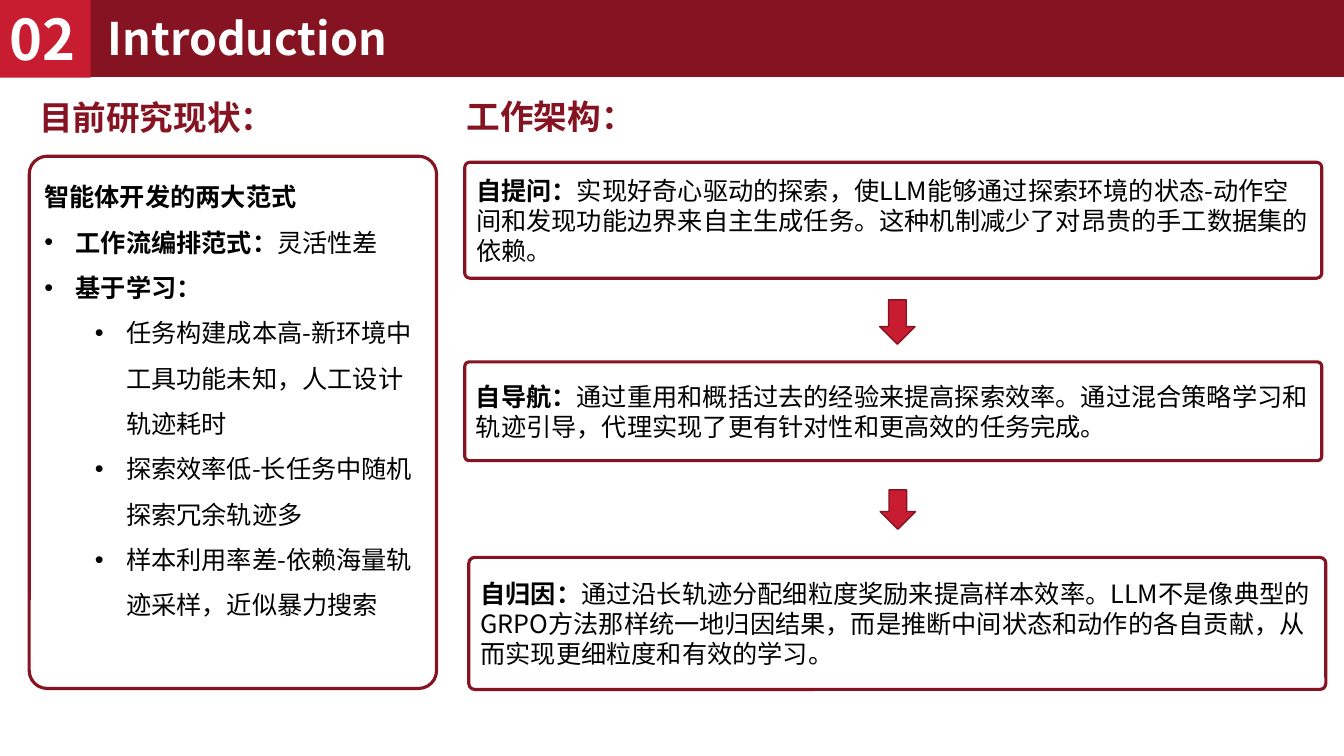
from dataclasses import dataclass

from lxml import etree
from pptx import Presentation
from pptx.dml.color import RGBColor
from pptx.enum.shapes import MSO_SHAPE
from pptx.enum.text import MSO_ANCHOR, PP_ALIGN
from pptx.oxml.ns import qn
from pptx.util import Emu, Pt

RECT, ROUND, ARROW = MSO_SHAPE.RECTANGLE, MSO_SHAPE.ROUNDED_RECTANGLE, MSO_SHAPE.RIGHT_ARROW
TOP, MIDDLE = MSO_ANCHOR.TOP, MSO_ANCHOR.MIDDLE
LEFT = PP_ALIGN.LEFT

SCALE = 9144  # EMU per px, 100 px to the inch
FONT = "Noto Sans CJK SC"
DARK, RED, WHITE, BLACK = "851321", "C81D31", "FFFFFF", "000000"


@dataclass
class Box:
    left: int
    top: int
    width: int
    height: int


@dataclass
class Line:
    lead: str = ""  # bold part
    body: str = ""  # plain part
    level: int = 0
    indent: int = 0  # bullet text offset, 0 for no bullet


@dataclass
class Step:
    box: Box
    line: Line


def px(count: int) -> Emu:
    return Emu(count * SCALE)


def color(code: str) -> RGBColor:
    return RGBColor.from_string(code)


def place(box: Box) -> list[Emu]:
    return [px(box.left), px(box.top), px(box.width), px(box.height)]


def add_shape(slide, kind, box: Box, fill: str = "", line: str = "", weight: float = 1):
    shape = slide.shapes.add_shape(kind, *place(box))
    shape.shadow.inherit = False
    if fill:
        shape.fill.solid()
        shape.fill.fore_color.rgb = color(fill)
    else:
        shape.fill.background()
    if line:
        shape.line.color.rgb = color(line)
        shape.line.width = Pt(weight)
    else:
        shape.line.fill.background()
    return shape


def style(run, size: int, code: str, bold: bool) -> None:
    font = run.font
    font.size, font.bold, font.name = Pt(size), bold, FONT
    font.color.rgb = color(code)
    latin = run._r.rPr.find(qn("a:latin"))
    east = etree.Element(qn("a:ea"), typeface=FONT)
    latin.addnext(east)


def add_bullet(para, indent: int) -> None:
    props = para._p.get_or_add_pPr()
    props.set("marL", str(px(indent)))
    props.set("indent", str(px(-31)))
    etree.SubElement(props, qn("a:buFont"), typeface="Arial")
    etree.SubElement(props, qn("a:buChar"), char="•")


def write(shape, lines: list[Line], size: int, code: str,
          anchor=TOP, space: float = 0) -> None:
    frame = shape.text_frame
    frame.word_wrap = True
    frame.vertical_anchor = anchor
    frame.text = "\n".join(line.lead for line in lines)
    for para, line in zip(frame.paragraphs, lines):
        para.alignment = LEFT
        para.level = line.level
        if space:
            para.line_spacing = space
        if line.indent:
            add_bullet(para, line.indent)
        for run in para.runs:
            style(run, size, code, True)
        if line.body:
            run = para.add_run()
            run.text = line.body
            style(run, size, code, False)


def add_title(slide, box: Box, text: str, size: int, code: str) -> None:
    write(slide.shapes.add_textbox(*place(box)), [Line(text)], size, code)


def add_panel(slide, box: Box, lines: list[Line], anchor, space: float = 0) -> None:
    panel = add_shape(slide, ROUND, box, line=DARK, weight=2.25)
    panel.adjustments[0] = 0.044
    write(panel, lines, 18, BLACK, anchor, space)


STATUS = [
    Line("智能体开发的两大范式"),
    Line("工作流编排范式：", "灵活性差", indent=31),
    Line("基于学习：", indent=31),
    Line("", "任务构建成本高-新环境中工具功能未知，人工设计轨迹耗时", 1, 81),
    Line("", "探索效率低-长任务中随机探索冗余轨迹多", 1, 81),
    Line("", "样本利用率差-依赖海量轨迹采样，近似暴力搜索", 1, 81),
]

STEPS = [
    Step(Box(461, 161, 850, 115), Line(
        "自提问：",
        "实现好奇心驱动的探索，使LLM能够通过探索环境的状态-动作空间和发现功能边界来"
        "自主生成任务。这种机制减少了对昂贵的手工数据集的依赖。")),
    Step(Box(461, 359, 850, 98), Line(
        "自导航：",
        "通过重用和概括过去的经验来提高探索效率。通过混合策略学习和轨迹引导，"
        "代理实现了更有针对性和更高效的任务完成。")),
    Step(Box(465, 553, 850, 131), Line(
        "自归因：",
        "通过沿长轨迹分配细粒度奖励来提高样本效率。LLM不是像典型的GRPO方法那样统一地"
        "归因结果，而是推断中间状态和动作的各自贡献，从而实现更细粒度和有效的学习。")),
]

ARROWS = [Box(868, 302, 44, 35), Box(871, 488, 39, 35)]


def main() -> None:
    deck = Presentation()
    deck.slide_width, deck.slide_height = px(1333), px(750)
    slide = deck.slides.add_slide(deck.slide_layouts[6])

    # Research status
    add_panel(slide, Box(29, 155, 404, 528), STATUS, TOP, 1.5)
    add_title(slide, Box(29, 91, 384, 50), "目前研究现状：", 24, DARK)

    # Header
    add_shape(slide, RECT, Box(0, 0, 1333, 76), DARK, DARK)
    add_title(slide, Box(97, 6, 927, 64), "Introduction", 32, WHITE)
    badge = add_shape(slide, RECT, Box(0, 0, 90, 77), RED)
    write(badge, [Line("02")], 40, WHITE)

    # Work framework
    add_title(slide, Box(453, 90, 836, 50), "工作架构：", 24, DARK)
    for step in STEPS:
        add_panel(slide, step.box, [step.line], MIDDLE)
    for box in ARROWS:
        arrow = add_shape(slide, ARROW, box, RED, DARK)
        arrow.rotation = 90

    deck.save("out.pptx")


if __name__ == "__main__":
    main()
